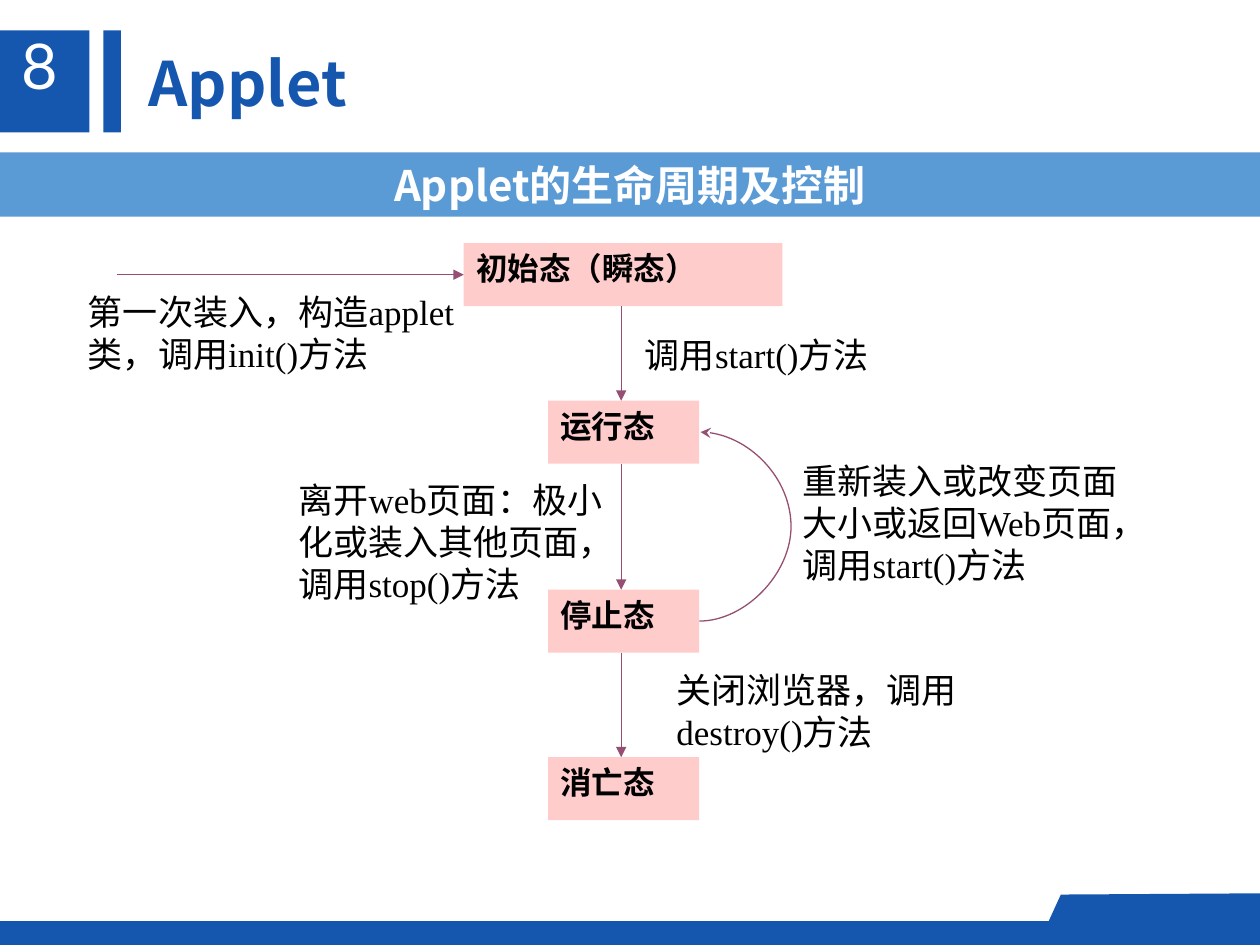
from lxml import etree
from pptx import Presentation
from pptx.dml.color import RGBColor
from pptx.enum.shapes import MSO_CONNECTOR, MSO_SHAPE
from pptx.enum.text import MSO_ANCHOR, PP_ALIGN
from pptx.oxml.ns import qn
from pptx.util import Inches, Pt

RECTANGLE = MSO_SHAPE.RECTANGLE
STRAIGHT, CURVE = MSO_CONNECTOR.STRAIGHT, MSO_CONNECTOR.CURVE
TOP, MIDDLE = MSO_ANCHOR.TOP, MSO_ANCHOR.MIDDLE
LEFT, CENTER = PP_ALIGN.LEFT, PP_ALIGN.CENTER
BLUE, BAND_BLUE, PINK, PLUM = "1557AE", "5B9BD5", "FFCCCC", "954F72"
WHITE, BLACK = "FFFFFF", "000000"
HEADING_FONT, BODY_FONT, NUMBER_FONT = "Noto Sans CJK SC", "Times New Roman", "Lato"

# Content: left, top, width, height in inches
BLUE_BLOCKS = [(0, 0.24, 0.71, 0.81), (0.82, 0.24, 0.14, 0.81), (0, 7.31, 10, 0.19)]
FOOTER_TAB = [(10, 7.45), (10, 7.09), (8.42, 7.1), (8.26, 7.45)]
STATE_HEIGHT = 0.5
STATES = [  # text, left, top, width
    ("初始态（瞬态）", 3.68, 1.93, 2.53),
    ("运行态", 4.35, 3.18, 1.2),
    ("停止态", 4.35, 4.68, 1.2),
    ("消亡态", 4.35, 6.01, 1.2),
]
NOTES = [
    ("离开web页面：极小化或装入其他页面，调用stop()方法", 2.27, 3.75, 2.83, 1.1),
    ("重新装入或改变页面大小或返回Web页面，调用start()方法", 6.27, 3.6, 2.92, 1.1),
    ("关闭浏览器，调用destroy()方法", 5.27, 5.26, 2.67, 0.77),
    ("第一次装入，构造applet类，调用init()方法", 0.6, 2.26, 3.17, 0.77),
    ("调用start()方法", 5.02, 2.6, 2.17, 0.43),
]
FLOW_X = 4.93
ENTRY_X = 0.93
LOOP_BULGE = 0.74
LOOP_WIDTH = 0.01


def color(value):
    return RGBColor.from_string(value)


def set_text(shape, text, size, font, hex_color, bold=False, align=LEFT, anchor=TOP, wrap=True):
    frame = shape.text_frame
    frame.word_wrap = wrap
    frame.vertical_anchor = anchor
    frame.text = text
    paragraph = frame.paragraphs[0]
    paragraph.alignment = align
    paragraph.font.size = Pt(size)
    paragraph.font.name = font
    paragraph.font.bold = bold
    paragraph.font.color.rgb = color(hex_color)
    if font == HEADING_FONT:
        properties = paragraph.font._element
        etree.SubElement(properties, qn("a:ea")).set("typeface", font)


def paint(shape, fill):
    shape.shadow.inherit = False
    shape.fill.solid()
    shape.fill.fore_color.rgb = color(fill)
    shape.line.fill.background()


def add_block(slide, box, fill):
    shape = slide.shapes.add_shape(RECTANGLE, *map(Inches, box))
    paint(shape, fill)
    return shape


def add_label(slide, box, *args, **options):
    set_text(slide.shapes.add_textbox(*map(Inches, box)), *args, **options)


def add_arrow(slide, kind, start, end, head):
    connector = slide.shapes.add_connector(kind, *map(Inches, start + end))
    connector.line.color.rgb = color(PLUM)
    connector.line.width = Pt(0.75)
    tail = etree.SubElement(connector.line._get_or_add_ln(), qn("a:tailEnd"))
    tail.set("type", head)
    etree.SubElement(connector._element.spPr, qn("a:effectLst"))
    return connector


def main():
    presentation = Presentation()
    presentation.slide_width, presentation.slide_height = Inches(10), Inches(7.5)
    slide = presentation.slides.add_slide(presentation.slide_layouts[5])

    # Frame
    for box in BLUE_BLOCKS:
        add_block(slide, box, BLUE)
    points = [(Inches(x), Inches(y)) for x, y in FOOTER_TAB]
    builder = slide.shapes.build_freeform(*points[0])
    builder.add_line_segments(points[1:], close=True)
    paint(builder.convert_to_shape(), BLUE)

    # Headings
    add_label(slide, (0.07, 0.16, 0.53, 0.71), "8", 36, NUMBER_FONT, WHITE, wrap=False)
    title = slide.shapes.title
    title.left, title.top, title.width, title.height = map(Inches, (1.08, 0.31, 7.64, 0.69))
    set_text(title, "Applet", 35, HEADING_FONT, BLUE, bold=True)
    band = add_block(slide, (0, 1.21, 10, 0.51), BAND_BLUE)
    set_text(band, "Applet的生命周期及控制", 24, HEADING_FONT, WHITE,
             bold=True, align=CENTER, anchor=MIDDLE)

    # States
    boxes = []
    for text, left, top, width in STATES:
        box = add_block(slide, (left, top, width, STATE_HEIGHT), PINK)
        set_text(box, text, 18, BODY_FONT, BLACK, bold=True)
        boxes.append(box)

    # Transitions
    for upper, lower in zip(STATES, STATES[1:]):
        add_arrow(slide, STRAIGHT, (FLOW_X, upper[2] + STATE_HEIGHT), (FLOW_X, lower[2]), "triangle")
    entry_y = STATES[0][2] + STATE_HEIGHT / 2
    entry = add_arrow(slide, STRAIGHT, (ENTRY_X, entry_y), (STATES[0][1], entry_y), "triangle")
    entry.end_connect(boxes[0], 1)

    # Loop from the stopped state back to the running state
    running, stopped = STATES[1:3]
    side = running[1] + running[3]
    loop = add_arrow(slide, CURVE, (side, stopped[2] + STATE_HEIGHT / 2),
                     (side + LOOP_WIDTH, running[2] + STATE_HEIGHT / 2), "stealth")
    guides = loop._element.spPr.find(qn("a:prstGeom")).get_or_add_avLst()
    guide = etree.SubElement(guides, qn("a:gd"))
    guide.set("name", "adj1")
    guide.set("fmla", f"val {round(LOOP_BULGE / LOOP_WIDTH * 100000)}")

    # Notes
    for text, *box in NOTES:
        add_label(slide, box, text, 20, BODY_FONT, BLACK)

    presentation.save("out.pptx")


if __name__ == "__main__":
    main()
